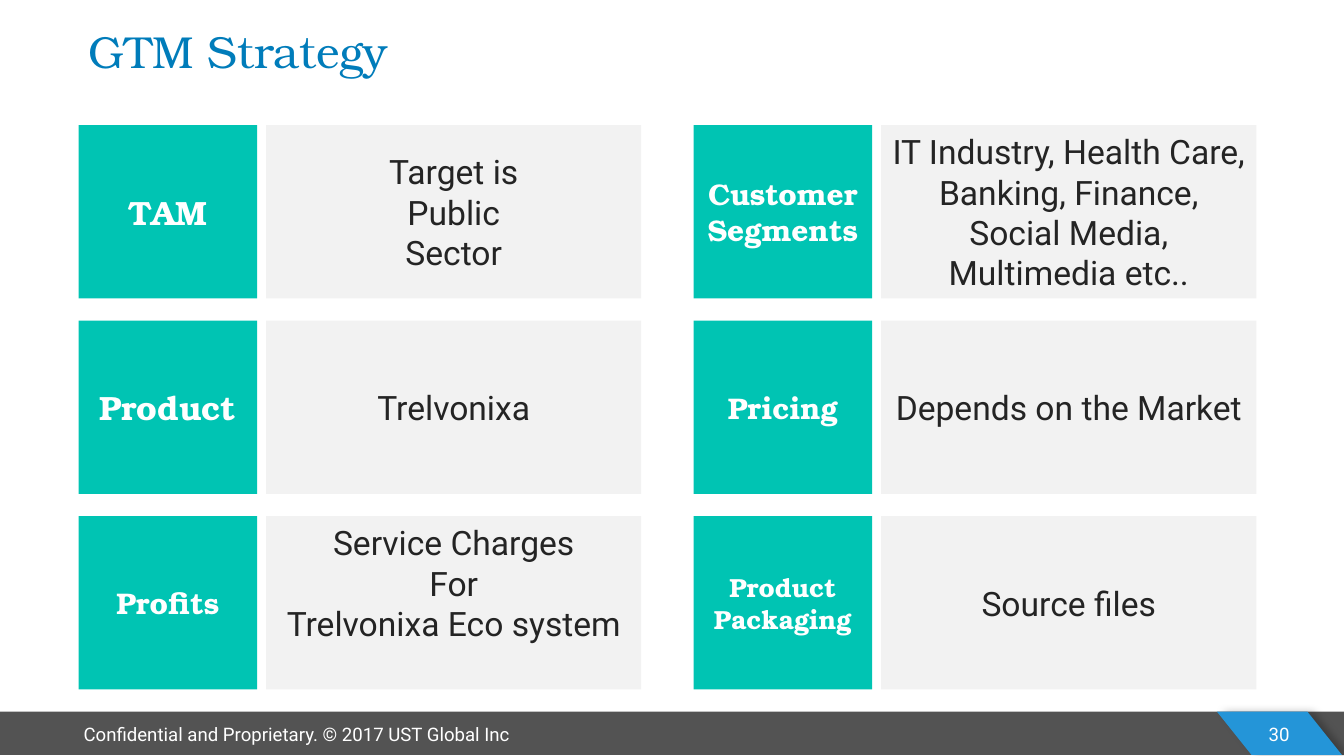
from lxml import etree
from pptx import Presentation
from pptx.dml.color import RGBColor
from pptx.enum.shapes import MSO_SHAPE as Shape
from pptx.enum.text import MSO_ANCHOR as Anchor, MSO_AUTO_SIZE as AutoSize, PP_ALIGN as Align
from pptx.oxml import parse_xml
from pptx.oxml.ns import nsdecls
from pptx.util import Inches, Pt

TEAL = RGBColor(0x00, 0xC4, 0xB3)
PALE = RGBColor(0xF2, 0xF2, 0xF2)
INK = RGBColor(0x24, 0x24, 0x24)
WHITE = RGBColor(0xFF, 0xFF, 0xFF)
TITLE_BLUE = RGBColor(0x00, 0x7C, 0xBA)
FOOTER_GREY = RGBColor(0x53, 0x53, 0x53)
FOOTER_BLUE = RGBColor(0x24, 0x95, 0xD8)
SERIF, SANS = "TeX Gyre Bonum", "Roboto"

# Rows of two topics: label, label size, description paragraphs
STRATEGY = [
    [("TAM", 24, ["Target is", "Public", "Sector"]),
     ("Customer Segments", 21.3,
      ["IT Industry, Health Care, Banking, Finance, Social Media, Multimedia etc.."])],
    [("Product", 24, ["Trelvonixa"]),
     ("Pricing", 21.3, ["Depends on the Market"])],
    [("Profits", 21.3, ["Service Charges", "For", "Trelvonixa Eco system"]),
     ("Product Packaging", 18.7, ["Source files"])],
]
TOPIC_LEFT, TOPIC_TOP = 0.78, 1.24
COLUMN_STEP, ROW_STEP = 6.1, 1.94
LABEL_WIDTH, DETAIL_OFFSET, DETAIL_WIDTH, TOPIC_HEIGHT = 1.77, 1.86, 3.72, 1.72


def write(frame, paragraphs, size, color, font=SANS, bold=False,
          align=Align.CENTER, anchor=Anchor.MIDDLE, line_spacing=None):
    frame.word_wrap = True
    frame.vertical_anchor = anchor
    for index, words in enumerate(paragraphs):
        paragraph = frame.add_paragraph() if index else frame.paragraphs[0]
        paragraph.alignment = align
        paragraph.space_before = Pt(0)
        if line_spacing:
            paragraph.line_spacing = line_spacing
        run = paragraph.add_run()
        run.text = words
        run.font.size = Pt(size)
        run.font.name = font
        run.font.bold = bold
        run.font.color.rgb = color


def add_block(slide, left, top, width, height, fill, kind=Shape.RECTANGLE):
    block = slide.shapes.add_shape(
        kind, Inches(left), Inches(top), Inches(width), Inches(height))
    block.shadow.inherit = False
    block.fill.solid()
    block.fill.fore_color.rgb = fill
    block.line.fill.background()
    return block


def add_soft_shadow(block):
    effects = block._element.spPr.find("{*}effectLst")
    effects.append(parse_xml(
        f'<a:outerShdw {nsdecls("a")} blurRad="{Pt(6)}" dist="{Pt(4)}" dir="0">'
        '<a:srgbClr val="000000"><a:alpha val="26000"/></a:srgbClr></a:outerShdw>'))


def add_title(slide, words):
    title = slide.shapes.title
    title.left, title.top = Inches(0.78), Inches(0.13)
    title.width, title.height = Inches(11.94), Inches(0.71)
    title.text_frame.auto_size = AutoSize.NONE
    write(title.text_frame, [words], 32, TITLE_BLUE, font=SERIF,
          align=Align.LEFT, anchor=Anchor.TOP, line_spacing=1.1)


def add_footer(slide, notice, number):
    add_block(slide, 0, 7.06, 13.33, 0.43, FOOTER_GREY)
    tab = add_block(slide, 12.07, 7.06, 1.24, 0.43, FOOTER_BLUE, Shape.PARALLELOGRAM)
    tab.adjustments[0] = 0.798
    tab._element.spPr.xfrm.set("flipH", "1")
    add_soft_shadow(tab)

    notice_box = slide.shapes.add_textbox(
        Inches(0.65), Inches(7.1), Inches(4.59), Inches(0.36))
    frame = notice_box.text_frame
    write(frame, [notice], 13.3, WHITE, anchor=Anchor.TOP)
    frame.word_wrap = False
    frame.margin_left = frame.margin_right = Inches(0.13)
    frame.margin_top = frame.margin_bottom = Inches(0.07)

    number_box = slide.shapes.add_textbox(
        Inches(12.14), Inches(7.08), Inches(1.09), Inches(0.4))
    write(number_box.text_frame, [number], 13.3, WHITE)


def add_topic(slide, left, top, label, label_size, details):
    label_block = add_block(slide, left, top, LABEL_WIDTH, TOPIC_HEIGHT, TEAL)
    write(label_block.text_frame, [label], label_size, WHITE, font=SERIF, bold=True)
    detail_block = add_block(
        slide, left + DETAIL_OFFSET, top, DETAIL_WIDTH, TOPIC_HEIGHT, PALE)
    write(detail_block.text_frame, details, 24, INK)
    if label == "Profits":  # this description sits one line higher
        detail_block.text_frame.margin_bottom = Inches(0.45)


def main():
    deck = Presentation()
    deck.slide_width, deck.slide_height = Inches(13.33), Inches(7.5)
    slide = deck.slides.add_slide(deck.slide_layouts[5])
    add_footer(slide, "Confidential and Proprietary. © 2017 UST Global Inc", "30")
    add_title(slide, "GTM Strategy")
    for row, topics in enumerate(STRATEGY):
        for column, topic in enumerate(topics):
            add_topic(slide, TOPIC_LEFT + column * COLUMN_STEP,
                      TOPIC_TOP + row * ROW_STEP, *topic)
    deck.save("out.pptx")


if __name__ == "__main__":
    main()
